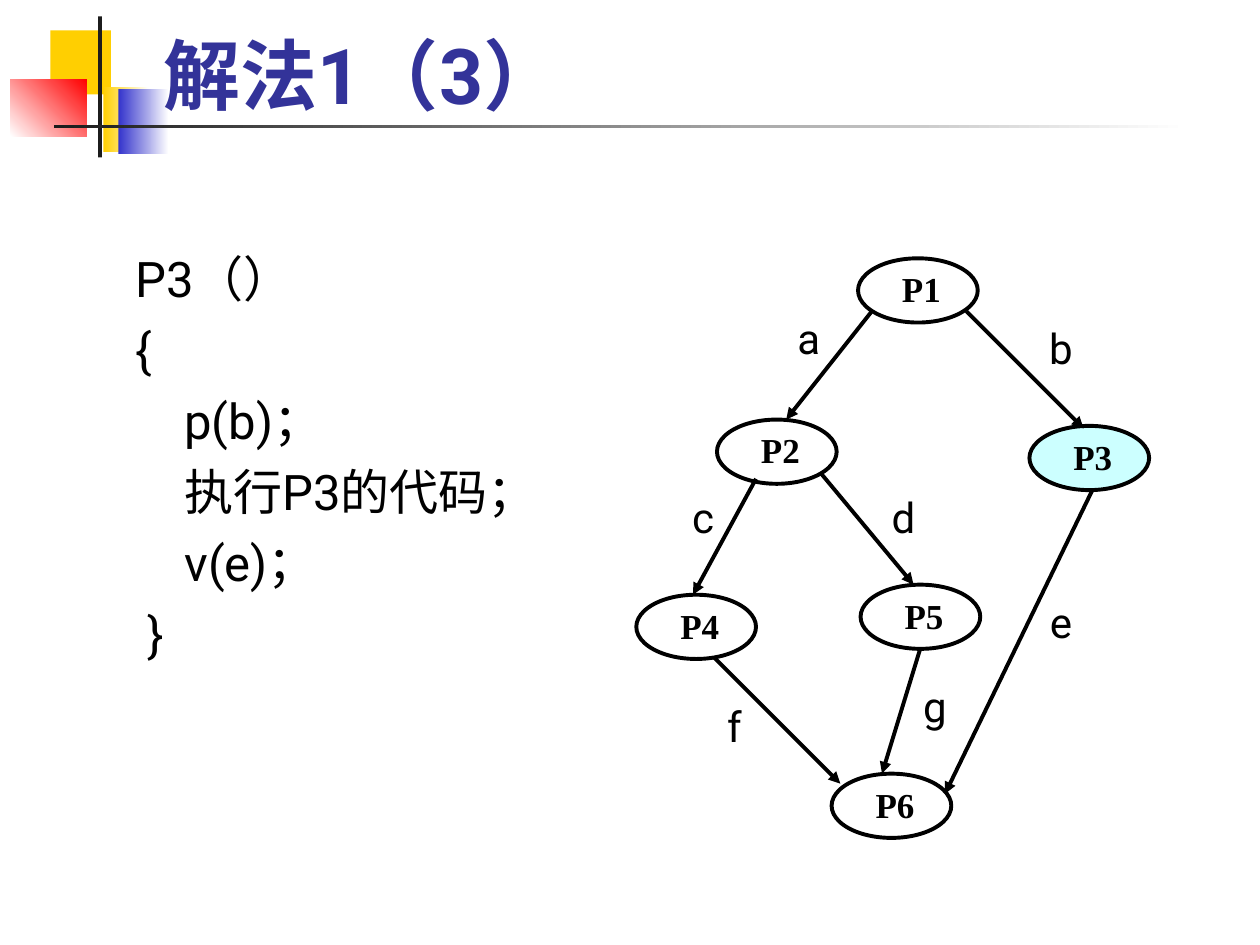
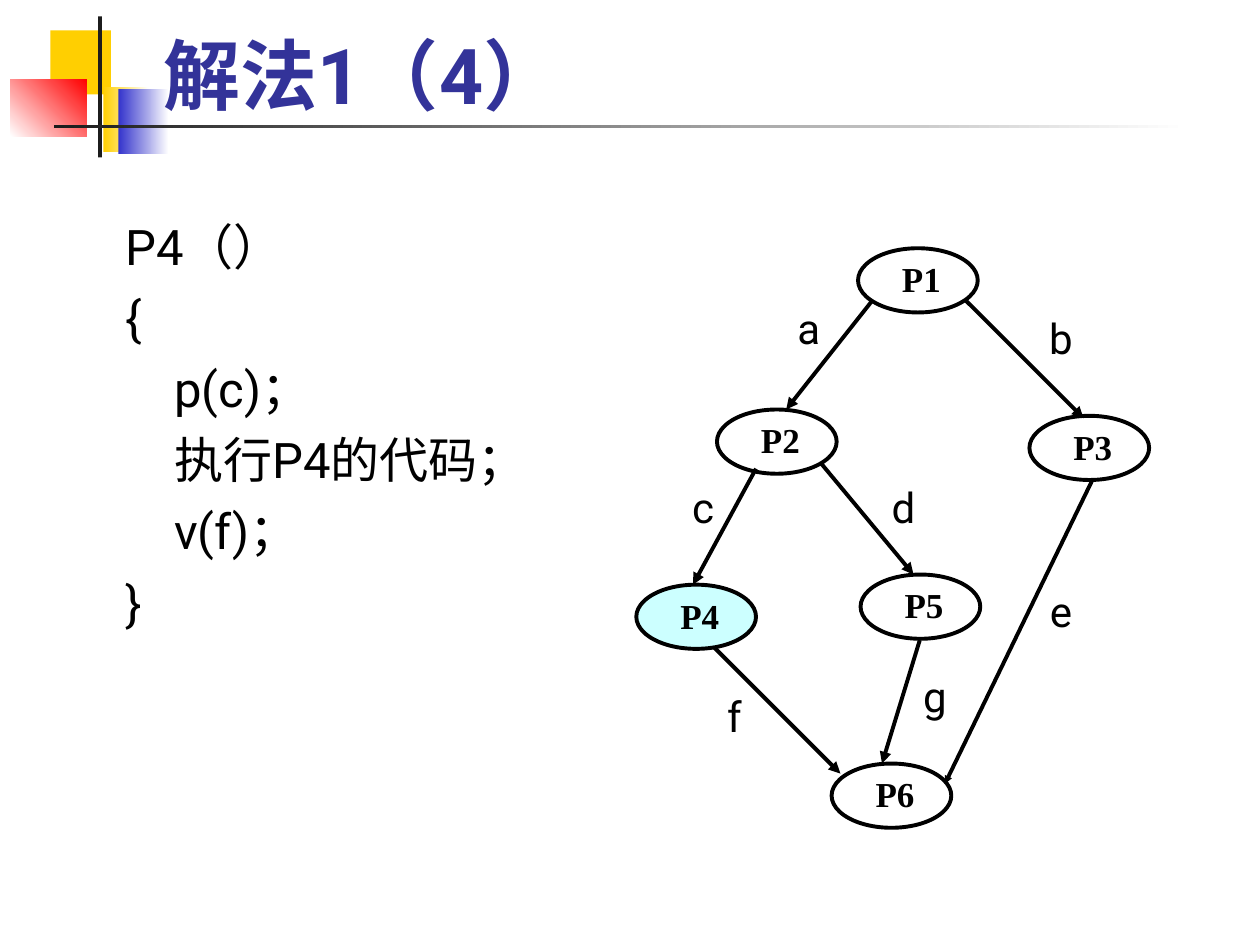
from dataclasses import dataclass

from lxml import etree
from pptx import Presentation
from pptx.dml.color import RGBColor
from pptx.enum.shapes import MSO_CONNECTOR, MSO_SHAPE
from pptx.enum.text import MSO_ANCHOR, PP_ALIGN
from pptx.oxml.ns import qn
from pptx.util import Inches, Pt

RECTANGLE, ELLIPSE = MSO_SHAPE.RECTANGLE, MSO_SHAPE.OVAL
STRAIGHT = MSO_CONNECTOR.STRAIGHT
TOP, MIDDLE, BOTTOM = MSO_ANCHOR.TOP, MSO_ANCHOR.MIDDLE, MSO_ANCHOR.BOTTOM
LEFT, CENTER = PP_ALIGN.LEFT, PP_ALIGN.CENTER

COLORS = {
    "yellow": "FFCF01", "blue": "3333CC", "red": "FF0000", "dark": "1C1C1C",
    "title": "333399", "black": "000000", "white": "FFFFFF", "highlight": "CCFFFF",
}
BODY_FONT, NODE_FONT = "Roboto", "Times New Roman"
STROKE = Pt(2.25)


@dataclass(frozen=True)
class Band:
    box: tuple[float, float, float, float]
    color: str
    fade_to: str | None = None
    angle: float = 0


@dataclass(frozen=True)
class Process:
    name: str
    left: float
    top: float


@dataclass(frozen=True)
class Edge:
    name: str
    start: tuple[float, float]
    end: tuple[float, float]
    label: tuple[float, float]


@dataclass(frozen=True)
class Solution:
    title: str
    code: tuple[str, ...]
    code_box: tuple[float, float, float, float]
    active: str
    shift: float = 0
    small_heads: tuple[str, ...] = ()


BANDS = [
    Band((0.4, 0.24, 0.48, 0.51), "yellow"),
    Band((0.82, 0.69, 0.36, 0.52), "yellow", "white"),
    Band((0.94, 0.71, 0.4, 0.51), "blue", "white"),
    Band((0.08, 0.63, 0.61, 0.45), "white", "red", 45),
    Band((0.78, 0.13, 0.03, 1.12), "dark"),
    Band((0.43, 0.99, 9, 0.03), "dark", "white"),
]
TITLE_BOX = (1.2, 0.17, 8.52, 0.83)

PROCESS_SIZE = (0.95, 0.51)
PROCESSES = [
    Process("P1", 6.81, 2.05),
    Process("P2", 5.69, 3.33),
    Process("P3", 8.17, 3.38),
    Process("P4", 5.05, 4.72),
    Process("P5", 6.83, 4.64),
    Process("P6", 6.6, 6.14),
]
LABEL_SIZE = (0.5, 0.42)
EDGES = [
    Edge("a", (6.92, 2.47), (6.24, 3.33), (6.17, 2.47)),
    Edge("b", (7.67, 2.47), (8.6, 3.4), (8.17, 2.55)),
    Edge("c", (6, 3.8), (5.5, 4.72), (5.33, 3.89)),
    Edge("d", (6.51, 3.75), (7.25, 4.64), (6.92, 3.89)),
    Edge("e", (8.67, 3.89), (7.5, 6.3), (8.17, 4.72)),
    Edge("f", (5.67, 5.22), (6.67, 6.22), (5.58, 5.55)),
    Edge("g", (7.3, 5.16), (7, 6.14), (7.17, 5.39)),
]

SOLUTIONS = [
    Solution(
        "解法1（3）",
        ("P3（）", "{", "    p(b)；", "    执行P3的代码；", "    v(e)；", " }"),
        (0.98, 1.92, 3.54, 3.8),
        active="P3",
    ),
    Solution(
        "解法1（4）",
        ("P4（）", "{", "    p(c)；", "    执行P4的代码；", "    v(f)；", "}"),
        (0.9, 1.67, 3.7, 3.66),
        active="P4", shift=-0.08, small_heads=("e",),
    ),
]


def rgb(name: str) -> RGBColor:
    return RGBColor.from_string(COLORS[name])


def write(shape, *lines: str, size: float, font: str = BODY_FONT, color: str = "black",
          bold: bool = False, align=LEFT, anchor=TOP, wrap: bool = True,
          margins: tuple = (0, 0, 0, 0), hanging: float = 0, space: float = 0) -> None:
    """Fill a shape with one paragraph per line."""
    frame = shape.text_frame
    frame.word_wrap = wrap
    frame.vertical_anchor = anchor
    (frame.margin_left, frame.margin_top,
     frame.margin_right, frame.margin_bottom) = map(Inches, margins)
    for index, line in enumerate(lines):
        paragraph = frame.paragraphs[0] if index == 0 else frame.add_paragraph()
        paragraph.alignment = align
        if index and space:
            paragraph.space_before = Pt(space)
        if hanging:
            properties = paragraph._p.get_or_add_pPr()
            properties.set("marL", str(Inches(hanging)))
            properties.set("indent", str(-Inches(hanging)))
        run = paragraph.add_run()
        run.text = line
        run.font.size, run.font.bold = Pt(size), bold
        run.font.color.rgb = rgb(color)
        run.font.name = font
        # Chinese characters follow the same font
        east_asian = etree.SubElement(run.font._element, qn("a:ea"))
        east_asian.set("typeface", font)


def add_text(slide, box: tuple, *lines: str, **style) -> None:
    write(slide.shapes.add_textbox(*map(Inches, box)), *lines, **style)


def add_band(slide, band: Band) -> None:
    shape = slide.shapes.add_shape(RECTANGLE, *map(Inches, band.box))
    shape.shadow.inherit = False
    shape.line.fill.background()
    if band.fade_to is None:
        shape.fill.solid()
        shape.fill.fore_color.rgb = rgb(band.color)
        return
    shape.fill.gradient()
    shape.fill.gradient_angle = band.angle
    for stop, color in zip(shape.fill.gradient_stops, (band.color, band.fade_to)):
        stop.color.rgb = rgb(color)


def add_process(slide, process: Process, shift: float, active: bool) -> None:
    box = (process.left, process.top + shift, *PROCESS_SIZE)
    ellipse = slide.shapes.add_shape(ELLIPSE, *map(Inches, box))
    ellipse.shadow.inherit = False
    ellipse.fill.solid()
    ellipse.fill.fore_color.rgb = rgb("highlight" if active else "white")
    ellipse.line.color.rgb = rgb("black")
    ellipse.line.width = STROKE
    write(ellipse, process.name, size=20, font=NODE_FONT, bold=True,
          margins=(0.21, 0, 0, 0))


def add_edge(slide, edge: Edge, shift: float, small_head: bool) -> None:
    (x1, y1), (x2, y2) = edge.start, edge.end
    arrow = slide.shapes.add_connector(
        STRAIGHT, *map(Inches, (x1, y1 + shift, x2, y2 + shift)))
    arrow.line.color.rgb = rgb("black")
    arrow.line.width = STROKE
    properties = arrow.element.spPr
    head = etree.SubElement(properties.find(qn("a:ln")), qn("a:tailEnd"))
    head.set("type", "triangle")
    if small_head:
        head.set("w", "sm")
        head.set("len", "sm")
    etree.SubElement(properties, qn("a:effectLst"))

    left, top = edge.label
    add_text(slide, (left, top + shift, *LABEL_SIZE), edge.name, size=24,
             align=CENTER, anchor=MIDDLE, wrap=False)


def add_solution(presentation, solution: Solution) -> None:
    slide = presentation.slides.add_slide(presentation.slide_layouts[6])
    # Shared header
    for band in BANDS:
        add_band(slide, band)
    padding = (0.1, 0.05, 0.1, 0.05)
    add_text(slide, TITLE_BOX, solution.title, size=44, color="title", bold=True,
             anchor=BOTTOM, margins=padding)
    # Code of the active process
    add_text(slide, solution.code_box, *solution.code, size=28, margins=padding,
             hanging=0.38, space=7)
    # Precedence graph
    for process in PROCESSES:
        add_process(slide, process, solution.shift, process.name == solution.active)
    for edge in EDGES:
        add_edge(slide, edge, solution.shift, edge.name in solution.small_heads)


def main() -> None:
    presentation = Presentation()
    presentation.slide_width, presentation.slide_height = Inches(10), Inches(7.5)
    for solution in SOLUTIONS:
        add_solution(presentation, solution)
    presentation.save("out.pptx")


if __name__ == "__main__":
    main()
